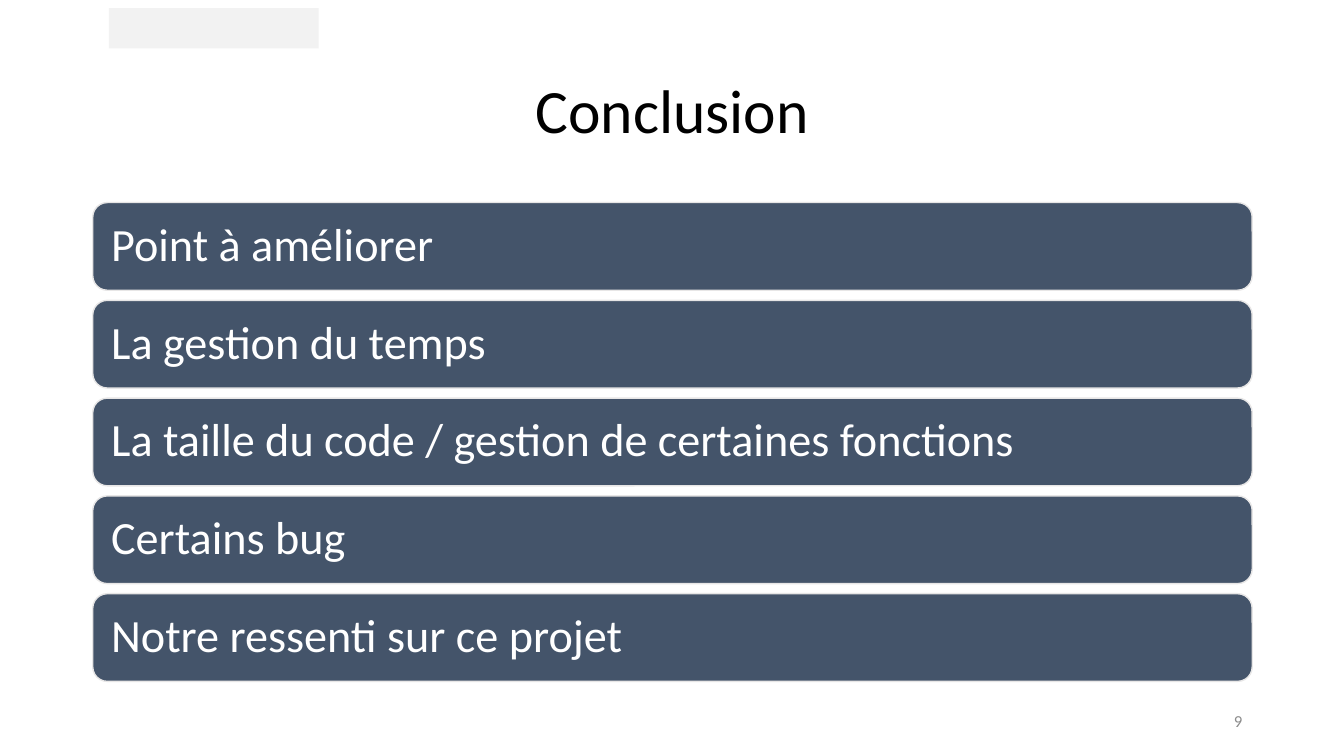
from pptx import Presentation
from pptx import util as u
from pptx.dml.color import RGBColor
from pptx.enum import shapes, text

EMU_PER_PX = 9144
FONT = "Calibri"
POINTS = [
    "Point à améliorer",
    "La gestion du temps",
    "La taille du code / gestion de certaines fonctions",
    "Certains bug",
    "Notre ressenti sur ce projet",
]


def px(length):
    return u.Emu(length * EMU_PER_PX)


def color(value):
    return RGBColor.from_string(value)


def write(shape, words, size, ink, align, inset=(10, 5), spacing=1.0):
    frame = shape.text_frame
    frame.word_wrap = True
    frame.auto_size = text.MSO_AUTO_SIZE.NONE
    frame.vertical_anchor = text.MSO_ANCHOR.MIDDLE
    frame.margin_left = frame.margin_right = px(inset[0])
    frame.margin_top = frame.margin_bottom = px(inset[1])
    paragraph = frame.paragraphs[0]
    paragraph.alignment = align
    paragraph.line_spacing = spacing
    run = paragraph.add_run()
    run.text = words
    run.font.name = FONT
    run.font.size = u.Pt(size)
    run.font.color.rgb = color(ink)


def add_block(slide, kind, box, fill, outline=None):
    block = slide.shapes.add_shape(kind, *map(px, box))
    block.shadow.inherit = False
    block.fill.solid()
    block.fill.fore_color.rgb = color(fill)
    if outline:
        block.line.color.rgb = color(outline)
        block.line.width = u.Pt(1)
    else:
        block.line.fill.background()
    return block


def place_title(slide, box, words):
    title = slide.shapes.title
    title.left, title.top, title.width, title.height = map(px, box)
    write(title, words, size=44, ink="000000",
          align=text.PP_ALIGN.CENTER, spacing=0.9)


def place_points(slide, box, points, gap=10):
    left, top, width, height = box
    bar_height = (height - gap * (len(points) - 1)) // len(points)
    for row, point in enumerate(points):
        bar_box = (left, top + row * (bar_height + gap), width, bar_height)
        bar = add_block(slide, shapes.MSO_SHAPE.ROUNDED_RECTANGLE, bar_box,
                        "44546A", outline="E7E6E6")
        write(bar, point, size=33, ink="FFFFFF", align=text.PP_ALIGN.LEFT,
              inset=(14, 14), spacing=0.9)


def place_page_number(slide, box, number):
    page_number = slide.shapes.add_textbox(*map(px, box))
    write(page_number, number, size=12, ink="8C8C8C",
          align=text.PP_ALIGN.RIGHT)


def main():
    deck = Presentation()
    deck.slide_width, deck.slide_height = px(1333), px(750)
    slide = deck.slides.add_slide(deck.slide_layouts[5])
    place_title(slide, (92, 40, 1150, 145), "Conclusion")
    add_block(slide, shapes.MSO_SHAPE.RECTANGLE, (108, 8, 208, 40), "F2F2F2")
    place_points(slide, (92, 201, 1150, 475), POINTS)
    place_page_number(slide, (942, 695, 300, 40), "9")
    deck.save("out.pptx")


if __name__ == "__main__":
    main()
